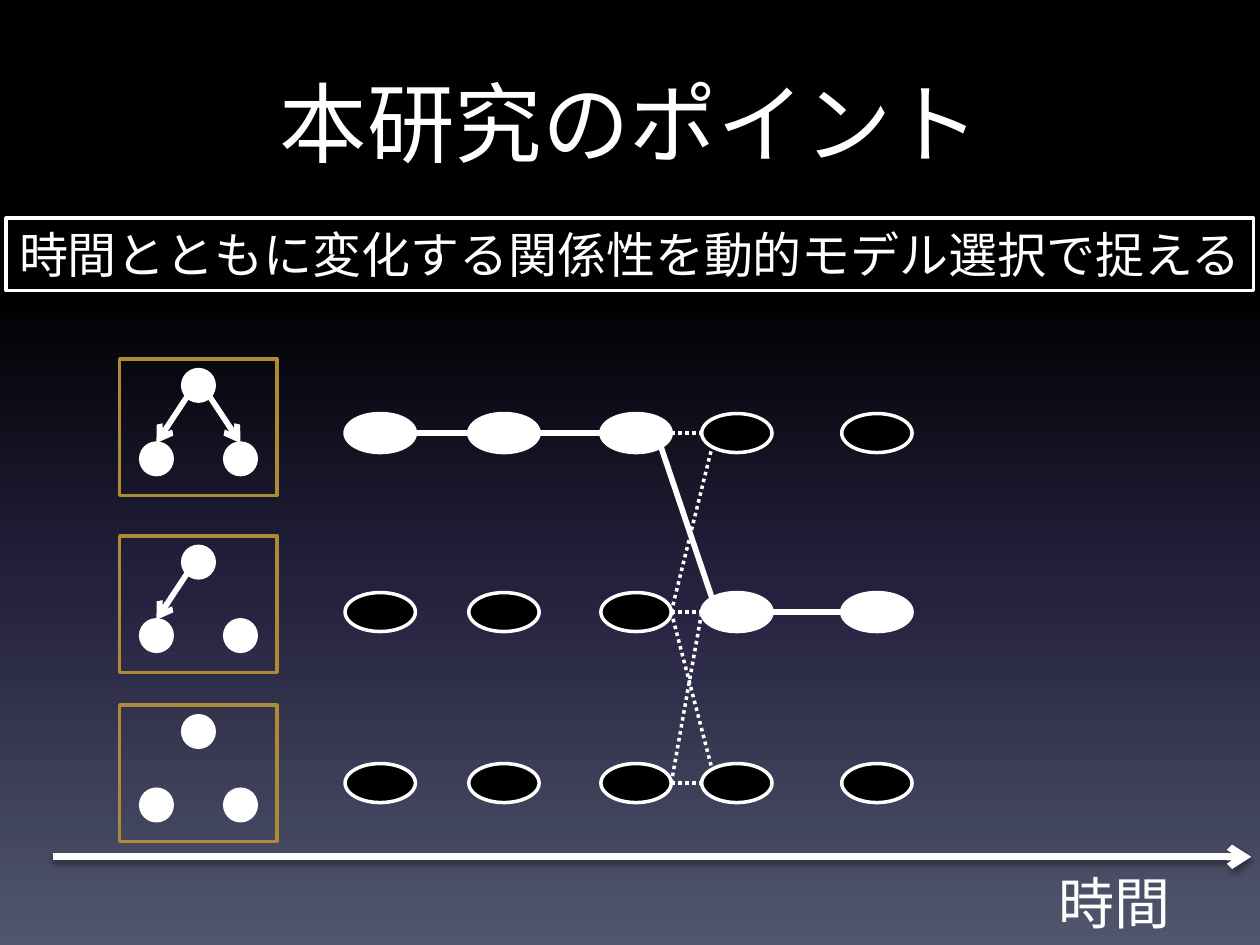
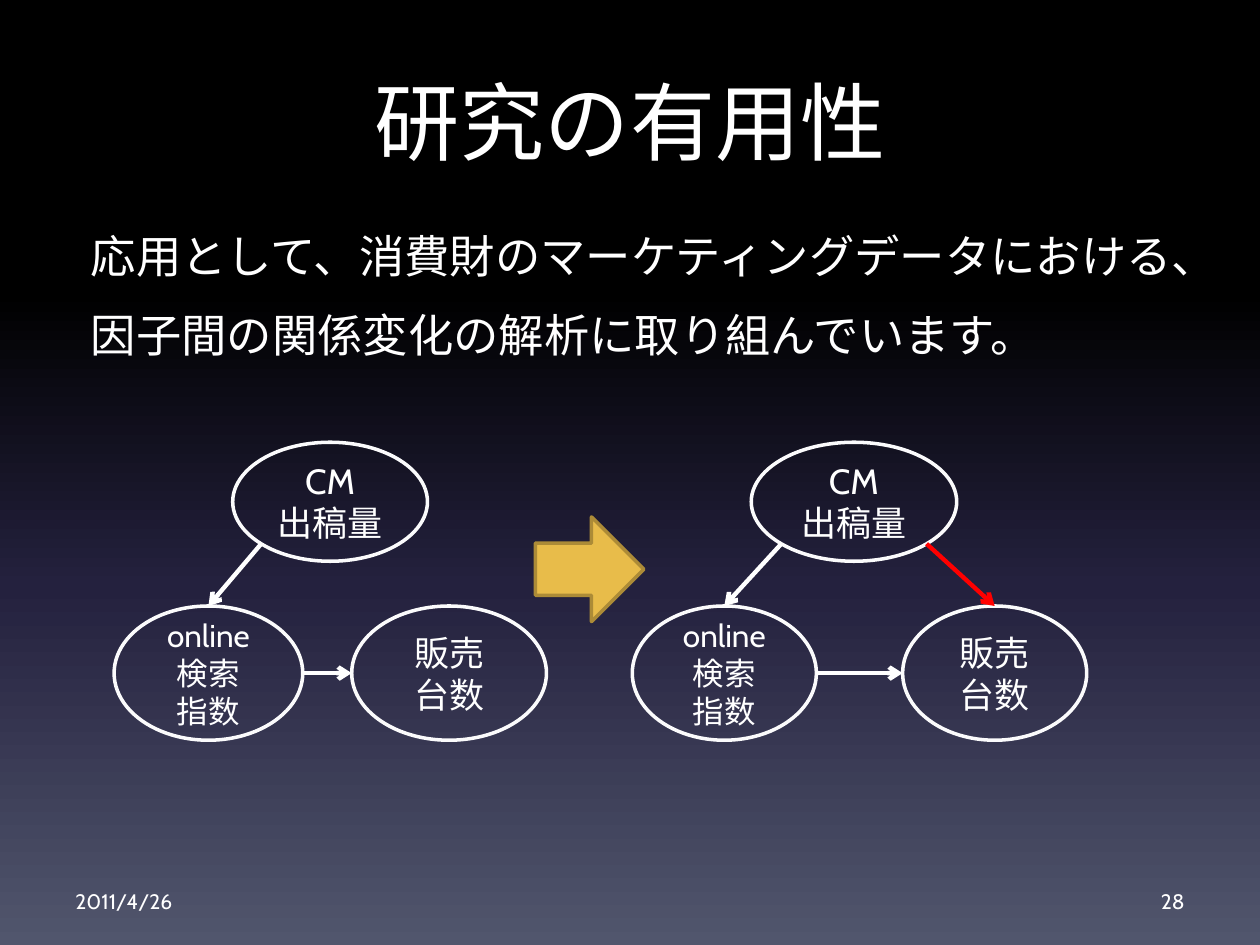
from dataclasses import dataclass
from math import sqrt
from typing import Optional

from lxml.etree import SubElement
from pptx import Presentation
from pptx.dml.color import RGBColor
from pptx.enum.dml import MSO_LINE_DASH_STYLE as Dash
from pptx.enum.shapes import MSO_CONNECTOR as Connector, MSO_SHAPE as Preset
from pptx.enum.text import MSO_ANCHOR as Anchor, PP_ALIGN as Align
from pptx.oxml.ns import qn
from pptx.util import Pt

FONT = "Cabin"
WHITE, BLACK, RED = "FFFFFF", "000000", "FF0000"
PALE, GOLD, DARK_GOLD = "FBFBFC", "E8BC4A", "AC8B37"
BACKGROUND = ((0, BLACK), (31, BLACK), (62, "24213E"), (100, "51566D"))


@dataclass(frozen=True)
class Area:
    left: float
    top: float
    width: float
    height: float

    @property
    def center(self) -> tuple[float, float]:
        return self.left + self.width / 2, self.top + self.height / 2

    def edge(self, across: float, down: float) -> tuple[float, float]:
        x, y = self.center
        return x + across * self.width / 2, y + down * self.height / 2

    def lengths(self) -> tuple:
        return tuple(Pt(v) for v in (self.left, self.top, self.width, self.height))


@dataclass(frozen=True)
class Panel:
    top: float
    arrow_sides: tuple[int, ...]


@dataclass(frozen=True)
class Factor:
    area: Area
    lines: tuple[str, ...]
    size: float


@dataclass(frozen=True)
class Relation:
    adverts: Area
    searches: Area
    sales: Area
    sales_effect: bool


def color(value: str) -> RGBColor:
    return RGBColor.from_string(value)


def apply(target, **values) -> None:
    for name, value in values.items():
        setattr(target, name, value)


def write(box, lines: tuple[str, ...], size: float, align=Align.LEFT, anchor=Anchor.TOP,
          wrap: bool = True, spacing: float = 1.0, gap: float = 0) -> None:
    frame = box.text_frame
    apply(frame, word_wrap=wrap, vertical_anchor=anchor)
    for index, line in enumerate(lines):
        para = frame.add_paragraph() if index else frame.paragraphs[0]
        apply(para, alignment=align, line_spacing=spacing)
        if index and gap:
            para.space_before = Pt(gap)
        span = para.add_run()
        span.text = line
        apply(span.font, name=FONT, size=Pt(size))
        span.font.color.rgb = color(WHITE)


def add_text(page, area: Area, lines: tuple[str, ...], size: float, **layout):
    box = page.shapes.add_textbox(*area.lengths())
    write(box, lines, size, **layout)
    return box


def add_figure(page, preset, area: Area, line: str, fill: Optional[str] = None):
    figure = page.shapes.add_shape(preset, *area.lengths())
    figure.shadow.inherit = False
    if fill:
        figure.fill.solid()
        figure.fill.fore_color.rgb = color(fill)
    else:
        figure.fill.background()
    figure.line.color.rgb = color(line)
    figure.line.width = Pt(2)
    return figure


def add_line(page, start: tuple[float, float], end: tuple[float, float], width: float,
             tint: str = WHITE, arrow: bool = False, dotted: bool = False,
             shadow: bool = False) -> None:
    link = page.shapes.add_connector(Connector.STRAIGHT, *(Pt(v) for v in (*start, *end)))
    link.line.color.rgb = color(tint)
    link.line.width = Pt(width)
    if dotted:
        link.line.dash_style = Dash.ROUND_DOT
    properties = link.element.spPr
    if arrow:
        SubElement(properties.find(qn("a:ln")), qn("a:tailEnd"), type="arrow")
    effects = SubElement(properties, qn("a:effectLst"))
    if shadow:
        outer = SubElement(effects, qn("a:outerShdw"), blurRad=str(Pt(3.1)),
                           dist=str(Pt(1.6)), dir="5400000", rotWithShape="0")
        tone = SubElement(outer, qn("a:srgbClr"), val=BLACK)
        SubElement(tone, qn("a:alpha"), val="38000")


def paint_background(master) -> None:
    fill = master.background.fill
    fill.gradient()
    fill.gradient_angle = 270
    stops = master.element.find(".//" + qn("p:bg")).find(".//" + qn("a:gsLst"))
    for stop in list(stops):
        stops.remove(stop)
    for position, tint in BACKGROUND:
        stop = SubElement(stops, qn("a:gs"), pos=str(position * 1000))
        SubElement(stop, qn("a:srgbClr"), val=tint)


def add_page(deck, title: str, size: float):
    page = deck.slides.add_slide(deck.slide_layouts[6])
    add_text(page, Area(36, 36, 648, 90), (title,), size, align=Align.CENTER)
    return page


def draw_panel(page, panel: Panel) -> None:
    frame = Area(68.4, panel.top, 90, 78)
    middle = frame.center[0]
    for shift, drop in ((-24, 48), (0, 6), (24, 48)):
        node = Area(middle + shift - 9, panel.top + drop, 18, 18)
        add_figure(page, Preset.OVAL, node, WHITE, WHITE)
    add_figure(page, Preset.RECTANGLE, frame, DARK_GOLD)
    for side in panel.arrow_sides:
        add_line(page, (middle + side * 6.5, panel.top + 21.5),
                 (middle + side * 24, panel.top + 48), 3.25, arrow=True)


def draw_states(page) -> None:
    chosen = (0, 0, 0, 1, 1)
    lefts = (197.2, 267.9, 343.4, 401, 481)
    tops = (236.3, 338.6, 436.3)
    states = [[Area(left, top, 40.2, 22.3) for left in lefts] for top in tops]
    for column, selected in enumerate(chosen):
        for row in range(len(tops)):
            fill = WHITE if row == selected else BLACK
            add_figure(page, Preset.OVAL, states[row][column], WHITE, fill)

    diagonal = sqrt(0.5)
    for column, (row, following) in enumerate(zip(chosen, chosen[1:])):
        across, down = (1, 0) if row == following else (diagonal, diagonal)
        add_line(page, states[row][column].edge(across, down),
                 states[following][column + 1].edge(-across, -down), 3.25)

    candidates = ((0, 0, 0), (1, 0, diagonal), (1, 1, 0),
                  (1, 2, -diagonal), (2, 2, 0), (2, 1, 0))
    for row, following, down in candidates:
        across = diagonal if down else 1
        add_line(page, states[row][2].edge(1, 0),
                 states[following][3].edge(-across, down), 2, dotted=True)


def build_points(deck) -> None:
    page = add_page(deck, "本研究のポイント", 50)
    banner = add_figure(page, Preset.RECTANGLE, Area(3.6, 124.7, 712.8, 41.3), WHITE)
    write(banner, ("時間とともに変化する関係性を動的モデル選択で捉える",), 28,
          align=Align.CENTER, anchor=Anchor.MIDDLE, wrap=False)
    for panel in (Panel(205.2, (-1, 1)), Panel(306.2, (-1,)), Panel(403, ())):
        draw_panel(page, panel)
    draw_states(page)
    add_line(page, (30.2, 489.6), (715, 489.6), 4, arrow=True, shadow=True)
    add_text(page, Area(597.6, 492.5, 79.2, 46), ("時間",), 32, wrap=False)


def draw_relation(page, relation: Relation) -> None:
    factors = (Factor(relation.adverts, ("CM", "出稿量"), 20),
               Factor(relation.searches, ("online", "検索", "指数"), 18),
               Factor(relation.sales, ("販売", "台数"), 20))
    for factor in factors:
        oval = add_figure(page, Preset.OVAL, factor.area, PALE)
        write(oval, factor.lines, factor.size, align=Align.CENTER, anchor=Anchor.MIDDLE)
    diagonal = sqrt(0.5)
    add_line(page, relation.adverts.edge(-diagonal, diagonal),
             relation.searches.edge(0, -1), 2.5, arrow=True)
    add_line(page, relation.searches.edge(1, 0), relation.sales.edge(-1, 0), 2.5, arrow=True)
    if relation.sales_effect:
        add_line(page, relation.adverts.edge(diagonal, diagonal),
                 relation.sales.edge(0, -1), 2.5, RED, arrow=True)


def build_usefulness(deck) -> None:
    page = add_page(deck, "研究の有用性", 48.6)
    for left, text, align in ((36, "2011/4/26", Align.LEFT), (516, "28", Align.RIGHT)):
        add_text(page, Area(left, 500.4, 168, 28.8), (text,), 12,
                 align=align, anchor=Anchor.MIDDLE)
    summary = ("応用として、消費財のマーケティングデータにおける、",
               "因子間の関係変化の解析に取り組んでいます。")
    body = add_text(page, Area(44.8, 136.8, 648, 98.6), summary, 25.9,
                    anchor=Anchor.MIDDLE, spacing=1.3, gap=5.2)
    apply(body.text_frame, margin_bottom=Pt(48), margin_right=Pt(0))
    for para in body.text_frame.paragraphs:
        para._p.get_or_add_pPr().set("hangingPunct", "1")

    upper, lower = (252.7, 68), (346.3, 76.7)

    def oval(left: float, width: float, level: tuple[float, float]) -> Area:
        return Area(left, level[0], width, level[1])

    before = Relation(oval(133, 111.3, upper), oval(65.2, 107.8, lower),
                      oval(201, 111.3, lower), False)
    after = Relation(oval(429.3, 117.4, upper), oval(361.3, 105.2, lower),
                     oval(515.8, 105.2, lower), True)
    for relation in (before, after):
        draw_relation(page, relation)
    add_figure(page, Preset.RIGHT_ARROW, Area(306, 295.4, 61.9, 59.8), DARK_GOLD, GOLD)


def main() -> None:
    deck = Presentation()
    apply(deck, slide_width=Pt(720), slide_height=Pt(540))
    paint_background(deck.slide_master)
    build_points(deck)
    build_usefulness(deck)
    deck.save("out.pptx")


if __name__ == "__main__":
    main()
